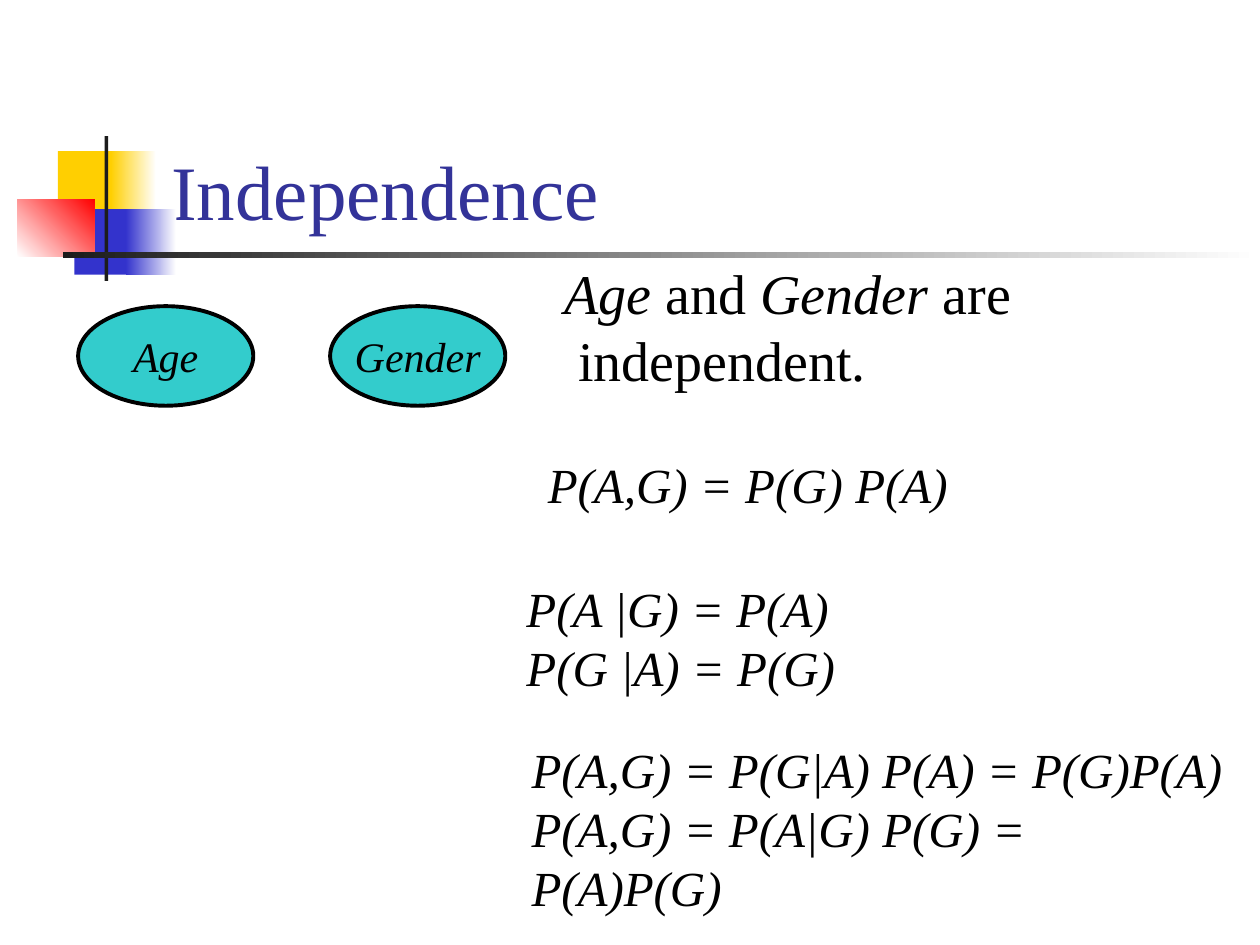
from dataclasses import dataclass

from pptx import Presentation
from pptx.dml.color import RGBColor
from pptx.enum import shapes, text
from pptx.util import Inches, Pt


@dataclass(frozen=True)
class Theme:
    font: str = "Times New Roman"
    yellow: str = "FFCF01"
    blue: str = "3333CC"
    red: str = "FF0000"
    dark: str = "1C1C1C"
    white: str = "FFFFFF"
    black: str = "000000"
    title: str = "333399"
    node: str = "33CCCC"
    title_size: int = 44
    statement_size: int = 32
    formula_size: int = 28
    node_size: int = 24


theme = Theme()


def add_filled(kind, box, colors, angle=0):
    """Add a borderless shape; two colours make a gradient."""
    shape = slide.shapes.add_shape(kind, *map(Inches, box))
    shape.shadow.inherit = False
    shape.line.fill.background()
    if len(colors) == 1:
        shape.fill.solid()
        shape.fill.fore_color.rgb = RGBColor.from_string(colors[0])
    else:
        shape.fill.gradient()
        shape.fill.gradient_angle = angle
        for stop, color in zip(shape.fill.gradient_stops, colors):
            stop.color.rgb = RGBColor.from_string(color)
    return shape


def style(paragraph, size, color=theme.black, italic=None):
    font = paragraph.font
    font.name, font.size, font.italic = theme.font, Pt(size), italic
    font.color.rgb = RGBColor.from_string(color)


prs = Presentation()
prs.slide_width, prs.slide_height = Inches(10), Inches(7.5)
slide = prs.slides.add_slide(prs.slide_layouts[5])

# Corner ornament and title rule
for box, colors, angle in [
    ((0.46, 1.2, 0.48, 0.52), [theme.yellow], 0),
    ((0.88, 1.2, 0.36, 0.52), [theme.yellow, theme.white], 0),
    ((0.59, 1.66, 0.46, 0.52), [theme.blue], 0),
    ((1, 1.66, 0.4, 0.52), [theme.blue, theme.white], 0),
    ((0.14, 1.58, 0.61, 0.46), [theme.white, theme.red], 45),
    ((0.83, 1.08, 0.03, 1.15), [theme.dark], 0),
    ((0.5, 2, 9.5, 0.05), [theme.dark, theme.white], 0),
]:
    add_filled(shapes.MSO_SHAPE.RECTANGLE, box, colors, angle)

title = slide.shapes.title
title.left, title.top, title.width, title.height = map(Inches, (1.26, 0.67, 8.52, 1.25))
title.text_frame.text = "Independence"
title.text_frame.vertical_anchor = text.MSO_ANCHOR.BOTTOM
title.text_frame.paragraphs[0].alignment = text.PP_ALIGN.LEFT
style(title.text_frame.paragraphs[0], theme.title_size, theme.title)

# Network nodes
for variable, left in [("Age", 0.62), ("Gender", 2.62)]:
    node = add_filled(shapes.MSO_SHAPE.OVAL, (left, 2.43, 1.39, 0.79), [theme.node])
    node.line.color.rgb = RGBColor.from_string(theme.black)
    node.line.width = Pt(2.25)
    node.text_frame.word_wrap = False
    node.text_frame.text = variable
    node.text_frame.vertical_anchor = text.MSO_ANCHOR.MIDDLE
    node.text_frame.paragraphs[0].alignment = text.PP_ALIGN.CENTER
    style(node.text_frame.paragraphs[0], theme.node_size, italic=True)

# Statement, with its second line slightly indented
statement = slide.shapes.add_textbox(*map(Inches, (4.38, 2, 4.91, 1.17))).text_frame
statement.word_wrap = True
subject = statement.paragraphs[0]
for words, italic in [("Age", True), (" and ", False), ("Gender", True), (" are", False)]:
    run = subject.add_run()
    run.text, run.font.italic = words, italic
predicate = statement.add_paragraph()
predicate.text = "independent."
predicate._p.get_or_add_pPr().set("marL", str(Inches(0.11)))
for paragraph in statement.paragraphs:
    style(paragraph, theme.statement_size)

# Formulas
for box, formulas in [
    ((4.25, 3.56, 3.37, 0.57), ["P(A,G) = P(G) P(A)"]),
    ((4.08, 4.54, 3.04, 1.04), ["P(A |G) = P(A)", "P(G |A) = P(G)"]),
    ((4.12, 5.82, 5.72, 1.04), ["P(A,G) = P(G|A) P(A) = P(G)P(A)",
                                "P(A,G) = P(A|G) P(G) = P(A)P(G)"]),
]:
    frame = slide.shapes.add_textbox(*map(Inches, box)).text_frame
    frame.word_wrap = False
    frame.text = "\n".join(formulas)
    for paragraph in frame.paragraphs:
        style(paragraph, theme.formula_size, italic=True)

prs.save("out.pptx")
